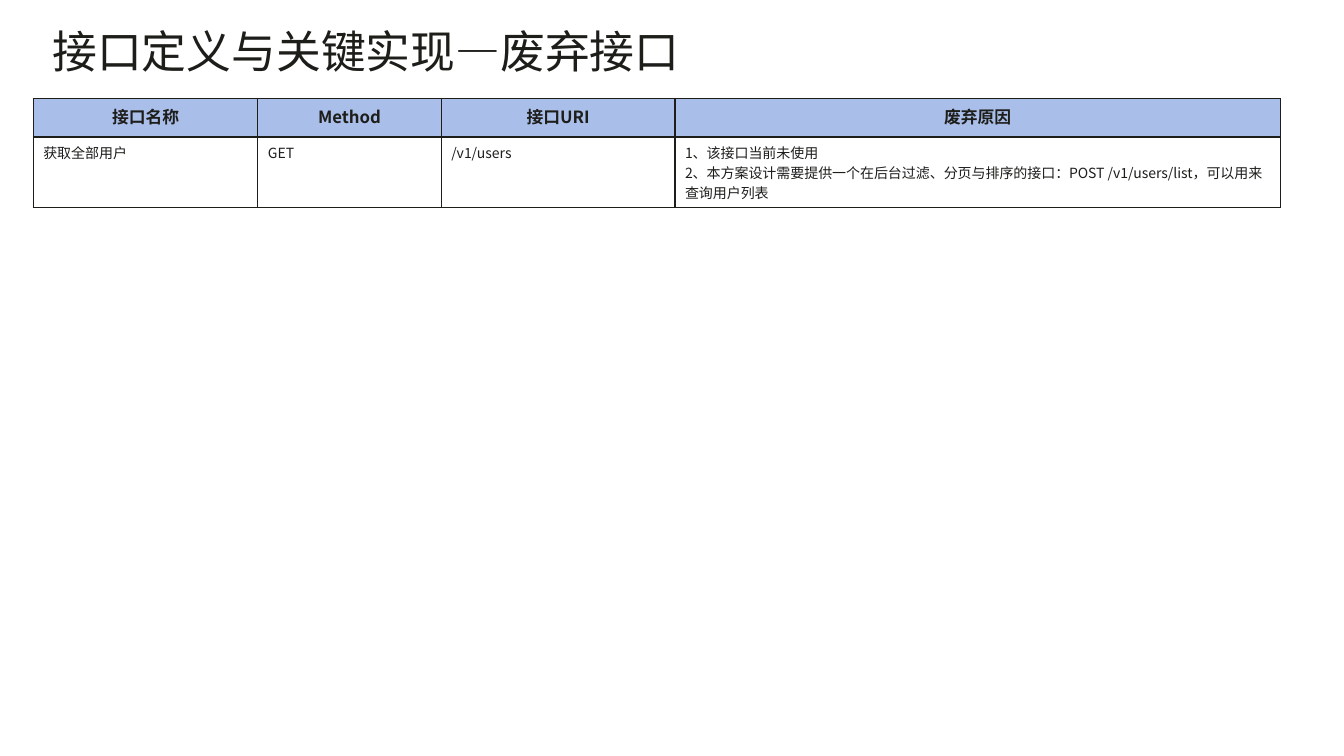
import pptx
import pptx.util
import pptx.dml.color
import pptx.enum.text
import pptx.oxml.ns
from lxml import etree

Inches = pptx.util.Inches
Pt = pptx.util.Pt
qn = pptx.oxml.ns.qn
Align = pptx.enum.text.PP_ALIGN

FONT = "Noto Sans CJK SC"
INK = "1D1D1A"
WIDTHS = [2.23, 1.82, 2.32, 6.01]
HEIGHTS = [0.38, 0.6]
ROWS = [
    ["接口名称", "Method", "接口URI", "废弃原因"],
    ["获取全部用户", "GET", "/v1/users",
     "1、该接口当前未使用\n"
     "2、本方案设计需要提供一个在后台过滤、分页与排序的接口：POST /v1/users/list，可以用来查询用户列表"],
]


def paint(target, color):
    """Give a fill a solid colour from a hex string."""
    target.solid()
    target.fore_color.rgb = pptx.dml.color.RGBColor.from_string(color)


def style(para, size, bold=False, align=Align.LEFT):
    """Set the alignment and font of a paragraph."""
    para.alignment = align
    font = para.font
    font.size, font.bold, font.name = Pt(size), bold, FONT
    paint(font.fill, INK)
    props = para._p.pPr.find(qn("a:defRPr"))
    etree.SubElement(props, qn("a:ea"), typeface=FONT)


def border(cell):
    """Draw a thin line on all four sides of a cell."""
    props = cell._tc.get_or_add_tcPr()
    for side in "LRTB":
        line = etree.SubElement(props, qn(f"a:ln{side}"), w=str(Pt(1)))
        fill = etree.SubElement(line, qn("a:solidFill"))
        etree.SubElement(fill, qn("a:srgbClr"), val=INK)


def add_title(slide, left, top, width, height):
    """Place the slide title in the given box."""
    title = slide.shapes.title
    title.left, title.top = Inches(left), Inches(top)
    title.width, title.height = Inches(width), Inches(height)
    frame = title.text_frame
    frame.margin_left = frame.margin_right = 0
    frame.margin_top = frame.margin_bottom = 0
    frame.vertical_anchor = pptx.enum.text.MSO_ANCHOR.TOP
    frame.auto_size = pptx.enum.text.MSO_AUTO_SIZE.NONE
    frame.text = "接口定义与关键实现—废弃接口"
    para = frame.paragraphs[0]
    para.line_spacing = Pt(34.3)
    style(para, 32)


def add_grid(slide, left, top):
    """Place the table of retired interfaces at the given corner."""
    table = slide.shapes.add_table(
        len(ROWS), len(WIDTHS), Inches(left), Inches(top),
        Inches(sum(WIDTHS)), Inches(sum(HEIGHTS))).table
    for column, width in zip(table.columns, WIDTHS):
        column.width = Inches(width)
    for row, height in zip(table.rows, HEIGHTS):
        row.height = Inches(height)
    for r, texts in enumerate(ROWS):
        head = r == 0
        for c, text in enumerate(texts):
            cell = table.cell(r, c)
            cell.text = text
            border(cell)
            paint(cell.fill, "A9BEE9" if head else "FFFFFF")
            for para in cell.text_frame.paragraphs:
                style(para, 12 if head else 10, head,
                      Align.CENTER if head else Align.LEFT)


def main():
    """Build the slide and save it."""
    deck = pptx.Presentation()
    deck.slide_width, deck.slide_height = Inches(13.34), Inches(7.5)
    slide = deck.slides.add_slide(deck.slide_layouts[5])
    add_title(slide, 0.52, 0.29, 11.75, 0.63)
    add_grid(slide, 0.33, 0.98)
    deck.save("out.pptx")


if __name__ == "__main__":
    main()
